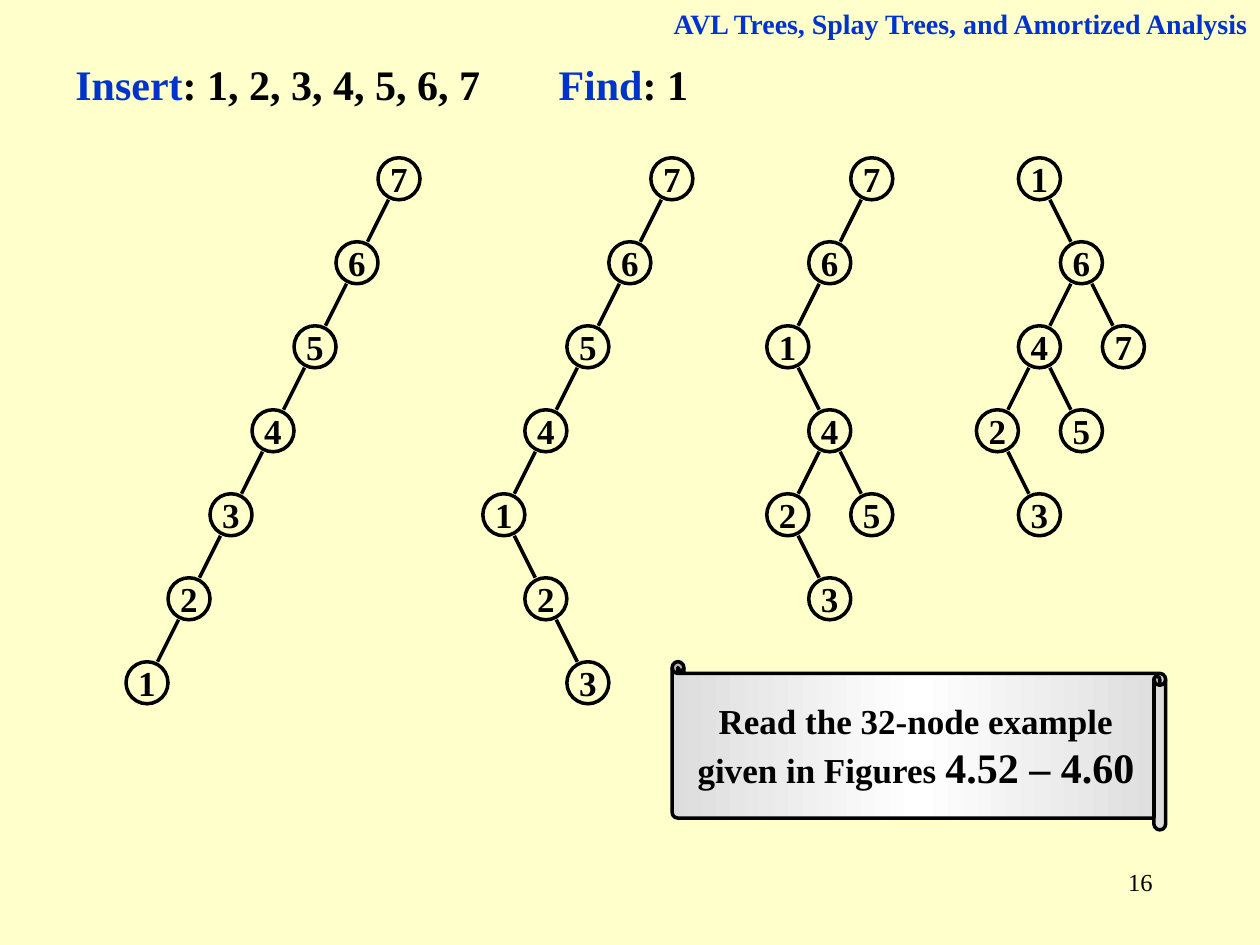
from dataclasses import dataclass
from typing import Optional

from pptx import Presentation
from pptx import util as u
from pptx.dml.color import RGBColor
from pptx.enum import shapes, text
from pptx.oxml import parse_xml
from pptx.oxml.ns import nsdecls

FONT = "Times New Roman"
BLACK, BLUE, CREAM = "000000", "0033CC", "FFFFCC"
STEP = 2.54 / 3  # node diameter and column pitch, cm
ROW = 2 * STEP
TREE_TOP = 3.18


@dataclass
class Run:
    text: str
    size: float
    color: str = BLACK
    bold: bool = True


@dataclass
class Node:
    key: int
    left: Optional["Node"] = None
    right: Optional["Node"] = None


@dataclass
class Tree:
    x: float  # left edge of the root, cm
    root: Node


def rgb(value: str) -> RGBColor:
    return RGBColor.from_string(value)


def write(tf, runs: list[Run], align=text.PP_ALIGN.LEFT,
          anchor=text.MSO_ANCHOR.TOP, wrap: bool = True) -> None:
    tf.word_wrap = wrap
    tf.auto_size = text.MSO_AUTO_SIZE.NONE
    tf.vertical_anchor = anchor
    p = tf.paragraphs[0]
    p.alignment = align
    for run in runs:
        r = p.add_run()
        r.text = run.text
        r.font.name = FONT
        r.font.size = u.Pt(run.size)
        r.font.bold = run.bold
        r.font.color.rgb = rgb(run.color)


def outline(sp) -> None:
    sp.line.color.rgb = rgb(BLACK)
    sp.line.width = u.Pt(2)


def add_text(slide, x: float, y: float, w: float, h: float,
             runs: list[Run], align=text.PP_ALIGN.LEFT) -> None:
    tb = slide.shapes.add_textbox(u.Cm(x), u.Cm(y), u.Cm(w), u.Cm(h))
    write(tb.text_frame, runs, align)


def add_edge(group, x1: float, y1: float, x2: float, y2: float) -> None:
    line = group.shapes.add_connector(
        shapes.MSO_CONNECTOR.STRAIGHT, u.Cm(x1), u.Cm(y1), u.Cm(x2), u.Cm(y2))
    outline(line)
    line._element.spPr.append(parse_xml(f"<a:effectLst {nsdecls('a')}/>"))


def add_node(group, node: Node, x: float, y: float) -> None:
    """Draw a node with its subtrees, one column out and one row down."""
    sp = group.shapes.add_shape(
        shapes.MSO_SHAPE.OVAL, u.Cm(x), u.Cm(y), u.Cm(STEP), u.Cm(STEP))
    sp.shadow.inherit = False
    sp.fill.background()
    outline(sp)
    write(sp.text_frame, [Run(str(node.key), 20)], text.PP_ALIGN.CENTER,
          text.MSO_ANCHOR.MIDDLE, wrap=False)
    mid = x + STEP / 2
    for side, child in ((-1, node.left), (1, node.right)):
        if child:
            add_edge(group, mid + side * STEP / 4, y + STEP,
                     mid + side * STEP * 3 / 4, y + ROW)
            add_node(group, child, x + side * STEP, y + ROW)


def add_scroll(slide, x: float, y: float, w: float, h: float,
               runs: list[Run]) -> None:
    sp = slide.shapes.add_shape(
        shapes.MSO_SHAPE.HORIZONTAL_SCROLL, u.Cm(x), u.Cm(y), u.Cm(w), u.Cm(h))
    sp.adjustments[0] = 0.07
    sp.shadow.inherit = False
    outline(sp)
    # Mirrored scroll with a three-stop gradient
    spPr = sp._element.spPr
    spPr.xfrm.set("flipH", "1")
    stops = "".join(
        f'<a:gs pos="{pos * 1000}"><a:srgbClr val="{color}"/></a:gs>'
        for pos, color in ((0, "DDDDDD"), (50, "FFFFFF"), (100, "DDDDDD")))
    spPr.prstGeom.addnext(parse_xml(
        f"<a:gradFill {nsdecls('a')}><a:gsLst>{stops}</a:gsLst>"
        '<a:lin ang="0" scaled="1"/></a:gradFill>'))
    write(sp.text_frame, runs, text.PP_ALIGN.CENTER, text.MSO_ANCHOR.MIDDLE)


def chain(keys: list[int], bottom: Optional[Node] = None) -> Node:
    """Link keys from the root down through left children."""
    for key in reversed(keys):
        bottom = Node(key, left=bottom)
    return bottom


TREES = [
    Tree(7.62, chain([7, 6, 5, 4, 3, 2, 1])),
    Tree(13.12, chain([7, 6, 5, 4],
                      Node(1, right=Node(2, right=Node(3))))),
    Tree(17.15, chain([7, 6], Node(1, right=Node(
        4, Node(2, right=Node(3)), Node(5))))),
    Tree(20.53, Node(1, right=Node(
        6, Node(4, Node(2, right=Node(3)), Node(5)), Node(7)))),
]


def main() -> None:
    prs = Presentation()
    prs.slide_width, prs.slide_height = u.Cm(25.4), u.Cm(19.05)
    slide = prs.slides.add_slide(prs.slide_layouts[5])
    slide.background.fill.solid()
    slide.background.fill.fore_color.rgb = rgb(CREAM)

    # Header
    title = slide.shapes.title
    title.left, title.top = u.Cm(12.5), u.Cm(0)
    title.width, title.height = u.Cm(12.9), u.Cm(0.94)
    write(title.text_frame,
          [Run("AVL Trees, Splay Trees, and Amortized Analysis", 16, BLUE)],
          text.PP_ALIGN.RIGHT)

    # Operations
    add_text(slide, 1.27, 1.06, 10.37, 1.27,
             [Run("Insert", 24, BLUE), Run(": 1, 2, 3, 4, 5, 6, 7", 24)])
    add_text(slide, 11.01, 1.06, 3.6, 1.27,
             [Run("Find", 24, BLUE), Run(": 1", 24)])

    # Splaying stages
    for tree in TREES:
        group = slide.shapes.add_group_shape()
        add_node(group, tree.root, tree.x, TREE_TOP)

    # Reading note and slide number
    add_scroll(slide, 13.55, 13.34, 9.95, 3.39,
               [Run("Read the 32-node example given in Figures ", 20),
                Run("4.52 – 4.60", 24)])
    add_text(slide, 18.2, 17.36, 5.29, 1.27,
             [Run("16", 14, bold=False)], text.PP_ALIGN.RIGHT)

    prs.save("out.pptx")


if __name__ == "__main__":
    main()
